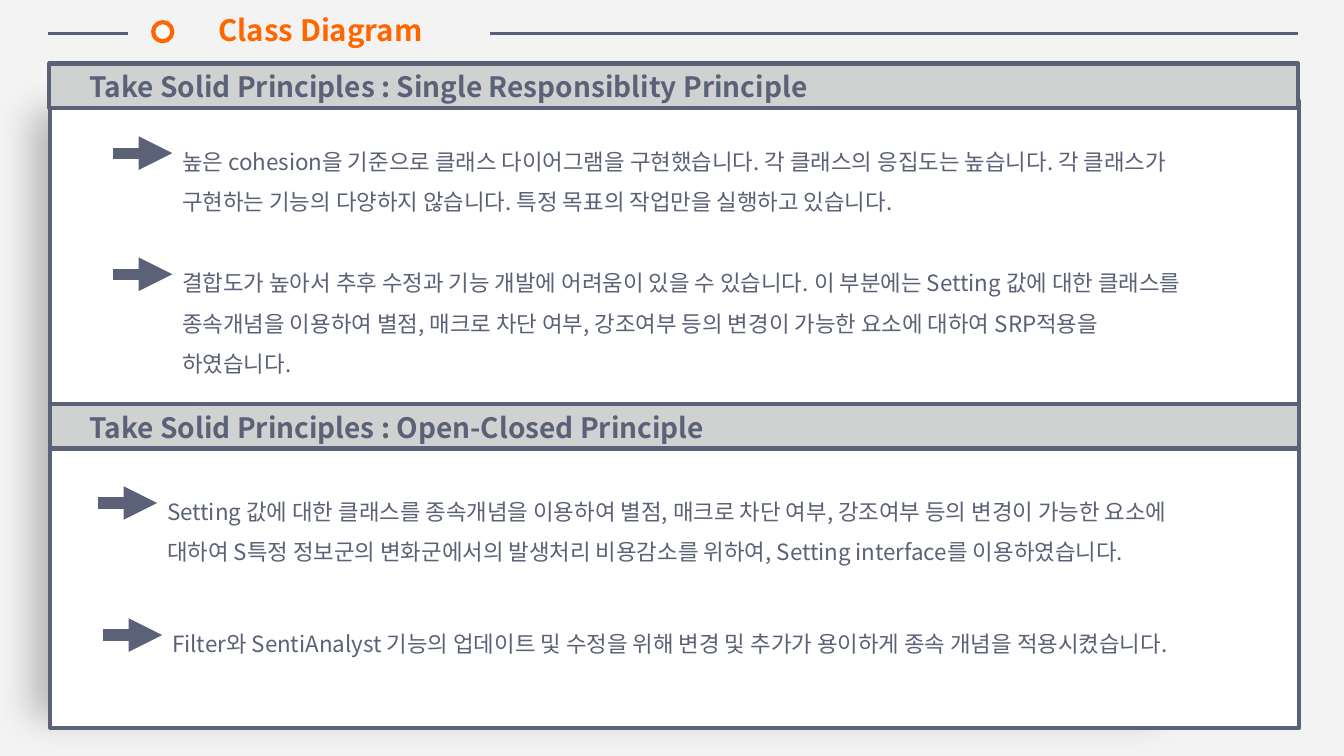
from dataclasses import dataclass

import pptx
import pptx.dml.color
import pptx.enum.shapes
import pptx.enum.text
import pptx.oxml
import pptx.oxml.ns
import pptx.util

Pt = pptx.util.Pt
RGBColor = pptx.dml.color.RGBColor
Anchor = pptx.enum.text.MSO_ANCHOR
Align = pptx.enum.text.PP_ALIGN
AutoSize = pptx.enum.text.MSO_AUTO_SIZE
Preset = pptx.enum.shapes.MSO_SHAPE
qn = pptx.oxml.ns.qn

SLATE = RGBColor(0x5B, 0x61, 0x76)
ORANGE = RGBColor(0xFF, 0x66, 0x00)
BAND_GREY = RGBColor(0xD0, 0xD2, 0xD2)
WHITE = RGBColor(0xFF, 0xFF, 0xFF)
BACKDROP = RGBColor(0xF3, 0xF3, 0xF3)
FONT = "Noto Sans CJK KR"

PANEL_LEFT, PANEL_WIDTH = 36, 892
BAND_HEIGHT = 31.7
ARROW_LENGTH, ARROW_DROP = 42.5, 16.6
POINT_WIDTH = 728.6

TITLE_FONT = {"size": Pt(21), "bold": True}
HEADING_FONT = {"size": Pt(20), "bold": True}
POINT_FONT = {"size": Pt(16), "bold": False}
GROWING = {"word_wrap": True, "auto_size": AutoSize.SHAPE_TO_FIT_TEXT}
CENTRED = {"word_wrap": False, "vertical_anchor": Anchor.MIDDLE}


@dataclass(frozen=True)
class Heading:
    left: float
    top: float
    text_width: float
    text: str


@dataclass(frozen=True)
class Point:
    left: float
    top: float
    height: float
    text: str


HEADINGS = [
    Heading(35.3, 45.4, 625, "Take Solid Principles : Single Responsiblity Principle"),
    Heading(36, 288.7, 463.7, "Take Solid Principles : Open-Closed Principle"),
]
POINTS = [
    Point(80.6, 92.8, 61.9,
          "높은 cohesion을 기준으로 클래스 다이어그램을 구현했습니다. 각 클래스의 응집도는 높습니다. "
          "각 클래스가 구현하는 기능의 다양하지 않습니다. 특정 목표의 작업만을 실행하고 있습니다."),
    Point(80.6, 179.3, 90.7,
          "결합도가 높아서 추후 수정과 기능 개발에 어려움이 있을 수 있습니다. 이 부분에는 Setting 값에 대한 "
          "클래스를 종속개념을 이용하여 별점, 매크로 차단 여부, 강조여부 등의 변경이 가능한 요소에 대하여 "
          "SRP적용을 하였습니다."),
    Point(69.8, 342.7, 119.5,
          "Setting 값에 대한 클래스를 종속개념을 이용하여 별점, 매크로 차단 여부, 강조여부 등의 변경이 가능한 "
          "요소에 대하여 S특정 정보군의 변화군에서의 발생처리 비용감소를 위하여, Setting interface를 "
          "이용하였습니다."),
    Point(73.4, 437, 61.9,
          "Filter와 SentiAnalyst 기능의 업데이트 및 수정을 위해 변경 및 추가가 용이하게 종속 개념을 "
          "적용시켰습니다."),
]


def apply(target: object, values: dict) -> None:
    for name, value in values.items():
        setattr(target, name, value)


def add_outlined(slide, preset, box: tuple, fill: RGBColor, line: RGBColor):
    figure = slide.shapes.add_shape(preset, *map(Pt, box))
    figure.shadow.inherit = False
    figure.fill.solid()
    figure.fill.fore_color.rgb = fill
    figure.line.color.rgb = line
    figure.line.width = Pt(3)
    return figure


def add_text(slide, box: tuple, text: str, font: dict, frame: dict,
             paragraph: dict, color: RGBColor = SLATE) -> None:
    text_frame = slide.shapes.add_textbox(*map(Pt, box)).text_frame
    apply(text_frame, frame)
    apply(text_frame.paragraphs[0], paragraph)
    run = text_frame.paragraphs[0].add_run()
    run.text = text
    apply(run.font, {**font, "name": FONT})
    run.font.color.rgb = color
    # Korean letters take the East Asian typeface
    east_asian = pptx.oxml.parse_xml(
        f'<a:ea {pptx.oxml.ns.nsdecls("a")} typeface="{FONT}"/>')
    run.font._element.find(qn("a:latin")).addnext(east_asian)


def add_rule(slide, start: float, end: float, y: float, weight: float,
             arrow: bool = False) -> None:
    rule = slide.shapes.add_connector(
        pptx.enum.shapes.MSO_CONNECTOR.STRAIGHT, Pt(start), Pt(y), Pt(end), Pt(y))
    rule.line.color.rgb = SLATE
    rule.line.width = Pt(weight)
    properties = rule._element.spPr
    if arrow:
        properties.find(qn("a:ln")).append(pptx.oxml.parse_xml(
            f'<a:tailEnd {pptx.oxml.ns.nsdecls("a")} type="triangle"/>'))
    properties.append(pptx.oxml.parse_xml(
        f'<a:effectLst {pptx.oxml.ns.nsdecls("a")}/>'))


def add_panel(slide) -> None:
    panel = add_outlined(slide, Preset.RECTANGLE, (PANEL_LEFT, 72, PANEL_WIDTH, 447.8),
                         WHITE, SLATE)
    # Soft shadow to the left
    panel._element.spPr.find(qn("a:effectLst")).append(pptx.oxml.parse_xml(
        f'<a:outerShdw {pptx.oxml.ns.nsdecls("a")} blurRad="{Pt(25)}" dist="{Pt(57)}" '
        'dir="10800000" sx="90000" sy="96000" algn="ctr" rotWithShape="0">'
        '<a:srgbClr val="000000"><a:alpha val="24000"/></a:srgbClr></a:outerShdw>'))


def add_heading(slide, heading: Heading) -> None:
    add_outlined(slide, Preset.RECTANGLE,
                 (heading.left, heading.top, PANEL_WIDTH, BAND_HEIGHT), BAND_GREY, SLATE)
    add_text(slide, (56.9, heading.top + 0.7, heading.text_width, BAND_HEIGHT),
             heading.text, HEADING_FONT, GROWING, {"alignment": Align.LEFT})


def add_point(slide, point: Point) -> None:
    text_left = point.left + ARROW_LENGTH
    add_rule(slide, point.left, text_left, point.top + ARROW_DROP, 8, arrow=True)
    add_text(slide, (text_left, point.top, POINT_WIDTH, point.height),
             point.text, POINT_FONT, GROWING, {"line_spacing": 1.5})


def main() -> None:
    deck = pptx.Presentation()
    apply(deck, {"slide_width": Pt(960), "slide_height": Pt(540)})
    slide = deck.slides.add_slide(deck.slide_layouts[6])
    slide.background.fill.solid()
    slide.background.fill.fore_color.rgb = BACKDROP

    add_panel(slide)

    # Title line
    for start, end in ((34.6, 91.4), (349.9, 927.4)):
        add_rule(slide, start, end, 23.8, 1.75)
    add_outlined(slide, Preset.OVAL, (109.4, 15.8, 13.7, 13.7), WHITE, ORANGE)
    add_text(slide, (134.6, 12.2, 188.6, 18.7), "Class Diagram", TITLE_FONT, CENTRED,
             {"alignment": Align.CENTER}, ORANGE)

    # Principles
    for heading in HEADINGS:
        add_heading(slide, heading)
    for point in POINTS:
        add_point(slide, point)

    deck.save("out.pptx")


if __name__ == "__main__":
    main()
